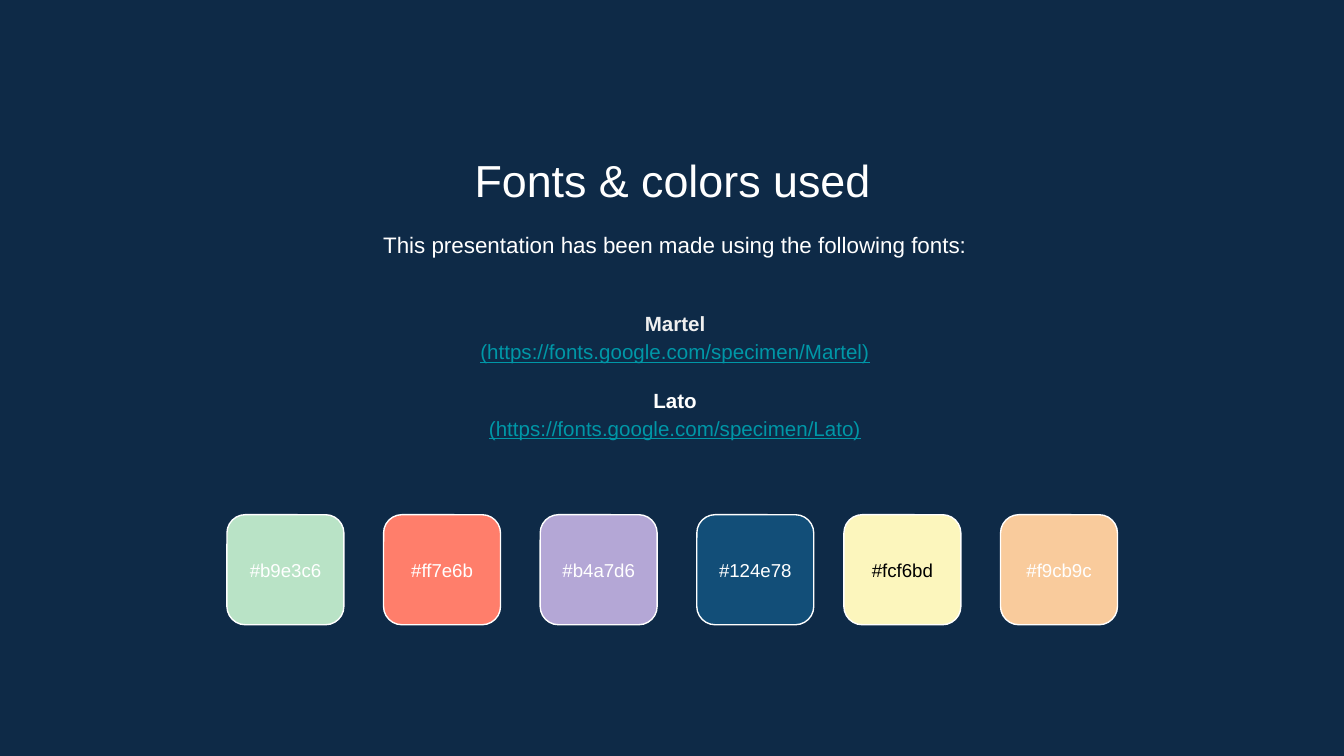
import pptx
import pptx.dml.color
import pptx.enum.shapes
import pptx.enum.text
import pptx.util

Cm = pptx.util.Cm
Pt = pptx.util.Pt
RGB = pptx.dml.color.RGBColor
Anchor = pptx.enum.text.MSO_ANCHOR

NAVY = RGB(0x0E, 0x2A, 0x47)
WHITE = RGB(0xFF, 0xFF, 0xFF)
BLACK = RGB(0x00, 0x00, 0x00)
PALE_GRAY = RGB(0xEF, 0xEF, 0xEF)
TEAL = RGB(0x00, 0x97, 0xA7)
MINT = RGB(0xB9, 0xE3, 0xC6)
CORAL = RGB(0xFF, 0x7E, 0x6B)
LAVENDER = RGB(0xB4, 0xA7, 0xD6)
BLUE = RGB(0x12, 0x4E, 0x78)
CREAM = RGB(0xFC, 0xF6, 0xBD)
PEACH = RGB(0xF9, 0xCB, 0x9C)


class StyleSlide:
    """Holds the text style and the slide being built."""

    font_name = "Arial"
    inset = Cm(0.25)

    def __init__(self, slide):
        self.slide = slide
        slide.background.fill.solid()
        slide.background.fill.fore_color.rgb = NAVY

    def text(self, place, lines, anchor=Anchor.TOP, spacing=1.0):
        """Add centred lines, each a (wording, colour, font format, space before)."""
        box = self.slide.shapes.add_textbox(*map(Cm, place))
        frame = box.text_frame
        frame_format = {
            "word_wrap": True,
            "vertical_anchor": anchor,
            "margin_left": self.inset,
            "margin_right": self.inset,
            "margin_top": self.inset,
            "margin_bottom": self.inset,
        }
        for key, value in frame_format.items():
            setattr(frame, key, value)
        for index, (wording, color, font_format, before) in enumerate(lines):
            paragraph = frame.add_paragraph() if index else frame.paragraphs[0]
            paragraph.alignment = pptx.enum.text.PP_ALIGN.CENTER
            paragraph.line_spacing = spacing
            if before:
                paragraph.space_before = Pt(before)
            run = paragraph.add_run()
            run.text = wording
            for key, value in {"name": self.font_name, **font_format}.items():
                setattr(run.font, key, value)
            run.font.color.rgb = color

    def swatch(self, left, color, label_color):
        """Add a rounded tile with its hex code on top."""
        tile = self.slide.shapes.add_shape(
            pptx.enum.shapes.MSO_SHAPE.ROUNDED_RECTANGLE,
            Cm(left), Cm(9.73), Cm(2.21), Cm(2.08))
        tile.shadow.inherit = False
        tile.fill.solid()
        tile.fill.fore_color.rgb = color
        tile.line.color.rgb = WHITE
        tile.line.width = Pt(0.75)
        hex_code = f"#{color}".lower()
        self.text((left, 10.16, 2.21, 1.22),
                  [(hex_code, label_color, {"size": Pt(10)}, 0)], Anchor.MIDDLE)


def main():
    deck = pptx.Presentation()
    deck.slide_width, deck.slide_height = Cm(25.4), Cm(14.29)
    page = StyleSlide(deck.slides.add_slide(deck.slide_layouts[6]))

    # Heading and introduction
    page.text((2.92, 2.64, 19.58, 1.35),
              [("Fonts & colors used", WHITE, {"size": Pt(24)}, 0)])
    intro = "This presentation has been made using the following fonts:"
    page.text((2.97, 4.04, 19.58, 1.22),
              [(intro, WHITE, {"size": Pt(12)}, 0)], spacing=1.15)

    # Font names with their addresses
    name_format = {"size": Pt(11), "bold": True}
    link_format = {"size": Pt(11), "underline": True}
    font_lines = []
    for font, color, before in (("Martel", PALE_GRAY, 0), ("Lato", WHITE, 10.6)):
        address = f"(https://fonts.google.com/specimen/{font})"
        font_lines += [(font, color, name_format, before),
                       (address, TEAL, link_format, 0)]
    page.text((2.97, 5.33, 19.58, 3.48), font_lines, Anchor.MIDDLE, 1.15)

    # Colour swatches: two evenly stepped groups
    step = 2.96
    groups = ((4.29, (MINT, CORAL, LAVENDER, BLUE)), (15.95, (CREAM, PEACH)))
    for start, colors in groups:
        for index, color in enumerate(colors):
            label_color = BLACK if color == CREAM else WHITE
            page.swatch(start + index * step, color, label_color)

    deck.save("out.pptx")


if __name__ == "__main__":
    main()
